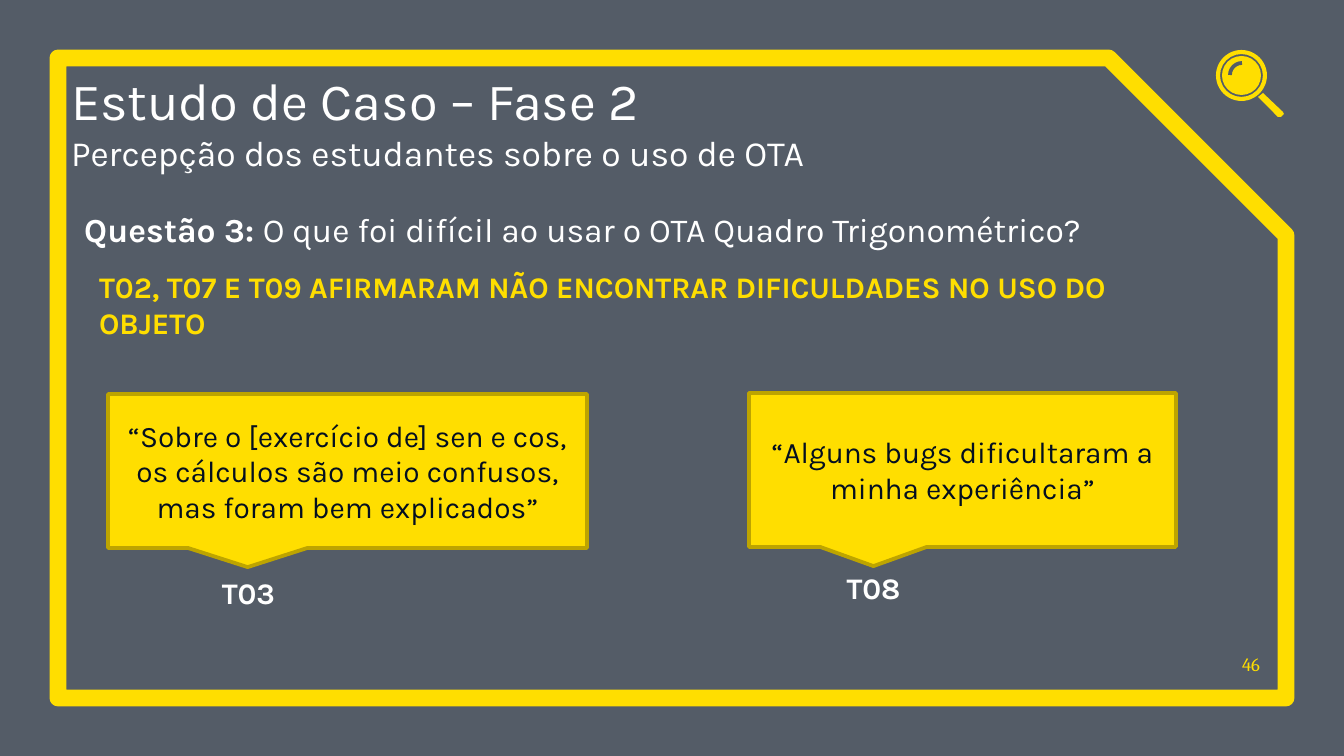
import pptx
import pptx.util
import pptx.dml.color
import pptx.enum.shapes
import pptx.enum.text
import pptx.oxml
import pptx.oxml.ns

RGBColor = pptx.dml.color.RGBColor
Shape = pptx.enum.shapes.MSO_SHAPE
Align = pptx.enum.text.PP_ALIGN
Anchor = pptx.enum.text.MSO_ANCHOR

SLATE = RGBColor(0x54, 0x5C, 0x67)
YELLOW = RGBColor(0xFF, 0xDE, 0x00)
OLIVE = RGBColor(0xBD, 0xA4, 0x00)
WHITE = RGBColor(0xFF, 0xFF, 0xFF)
NAVY = RGBColor(0x04, 0x0F, 0x20)

SCALE = 914400 / 134.4  # EMU in one px
TEXT_SHADOW = (
    f'<a:effectLst {pptx.oxml.ns.nsdecls("a")}>'
    '<a:outerShdw blurRad="38100" dist="38100" dir="2700000" algn="tl">'
    '<a:srgbClr val="000000"><a:alpha val="43000"/></a:srgbClr>'
    '</a:outerShdw></a:effectLst>'
)


def px(*lengths):
    return [pptx.util.Emu(round(length * SCALE)) for length in lengths]


class SlideBuilder:
    """Holds the style and the slide being built."""

    font_name = "Karla"

    def __init__(self, presentation):
        self.slide = presentation.slides.add_slide(presentation.slide_layouts[5])
        fill = self.slide.background.fill
        fill.solid()
        fill.fore_color.rgb = SLATE

    def fill_text(self, shape, paragraphs, color, align=Align.LEFT,
                  anchor=Anchor.TOP, margin=None, shadow=False):
        """Each paragraph is a list of (text, font values) runs."""
        frame = shape.text_frame
        values = {"word_wrap": True, "vertical_anchor": anchor,
                  "auto_size": pptx.enum.text.MSO_AUTO_SIZE.NONE}
        if margin is not None:
            values.update({f"margin_{side}": margin
                           for side in ("left", "top", "right", "bottom")})
        for name, value in values.items():
            setattr(frame, name, value)
        for index, runs in enumerate(paragraphs):
            paragraph = frame.add_paragraph() if index else frame.paragraphs[0]
            paragraph.alignment = align
            for text, font_values in runs:
                run = paragraph.add_run()
                run.text = text
                run.font.color.rgb = color
                if shadow:  # goes after the colour and before the font name
                    properties = run._r.get_or_add_rPr()
                    properties.append(pptx.oxml.parse_xml(TEXT_SHADOW))
                for name, value in {"name": self.font_name, **font_values}.items():
                    setattr(run.font, name, value)

    def title(self, box, paragraphs):
        shape = self.slide.shapes.title
        shape.left, shape.top, shape.width, shape.height = px(*box)
        self.fill_text(shape, paragraphs, WHITE, anchor=Anchor.BOTTOM,
                       margin=0, shadow=True)

    def text(self, box, runs, color, **options):
        shape = self.slide.shapes.add_textbox(*px(*box))
        self.fill_text(shape, [runs], color, **options)

    def paint(self, shape, fill=None, line=None, weight=1):
        shape.shadow.inherit = False
        for paint, color in ((shape.fill, fill), (shape.line.fill, line)):
            if color is None:
                paint.background()
            else:
                paint.solid()
                paint.fore_color.rgb = color
        if line is not None:
            shape.line.width = pptx.util.Pt(weight)

    def shape(self, kind, box, adjustments=(), parent=None, **colors):
        shapes = (parent or self.slide).shapes
        shape = shapes.add_shape(kind, *px(*box))
        for index, value in enumerate(adjustments):
            shape.adjustments[index] = value
        self.paint(shape, **colors)
        return shape

    def outline(self, points, parent, **colors):
        builder = parent.shapes.build_freeform(*points[0], scale=SCALE)
        builder.add_line_segments(points[1:], close=True)
        self.paint(builder.convert_to_shape(), **colors)

    def magnifier(self):
        group = self.slide.shapes.add_group_shape()
        self.shape(Shape.DONUT, (1216, 50, 51, 51), [0.08], group, fill=YELLOW)
        self.shape(Shape.OVAL, (1222, 56, 39, 39), (), group, fill=YELLOW)
        self.shape(Shape.ARC, (1230, 63, 24, 24), (108, 162), group,
                   line=SLATE, weight=2)
        self.outline([(1263, 93), (1258, 97), (1278, 117), (1281, 117),
                      (1284, 114), (1283, 112)], group, fill=YELLOW)

    def quote(self, box, text, source, source_box):
        callout = self.shape(Shape.RECTANGULAR_CALLOUT, box,
                             fill=YELLOW, line=OLIVE, weight=2)
        size = pptx.util.Pt(16)
        self.fill_text(callout, [[(text, {"size": size})]], NAVY,
                       align=Align.CENTER, anchor=Anchor.MIDDLE)
        self.text(source_box, [(source, {"size": size, "bold": True})],
                  WHITE, align=Align.CENTER)


def main():
    presentation = pptx.Presentation()
    presentation.slide_width, presentation.slide_height = px(1344, 756)
    builder = SlideBuilder(presentation)
    point = pptx.util.Pt

    # Frame, page number and icon
    builder.shape(Shape.SNIP_1_RECTANGLE, (58, 58, 1228, 640), [0.277],
                  line=YELLOW, weight=9)
    builder.text((1224, 637, 36, 38),
                 [("46", {"size": point(10), "name": "Cambria"})], YELLOW,
                 align=Align.RIGHT, anchor=Anchor.BOTTOM, margin=0)
    builder.magnifier()

    # Title and question
    builder.title((71, 73, 1130, 101), [
        [("Estudo de Caso – Fase 2", {"size": point(28)})],
        [("Percepção dos estudantes sobre o uso de OTA", {"size": point(19)})],
    ])
    builder.text((71, 202, 1085, 54), [
        ("Questão 3: ", {"size": point(18), "bold": True}),
        ("O que foi difícil ao usar o OTA Quadro Trigonométrico?",
         {"size": point(18)}),
    ], WHITE)
    builder.text((86, 262, 1070, 86), [
        ("T02, T07 E T09 AFIRMARAM NÃO ENCONTRAR DIFICULDADES NO USO DO OBJETO",
         {"size": point(16), "bold": True}),
    ], YELLOW)

    # Student quotes
    builder.quote((108, 394, 479, 154),
                  "“Sobre o [exercício de] sen e cos, os cálculos são meio "
                  "confusos, mas foram bem explicados”",
                  "T03", (206, 568, 85, 50))
    builder.quote((749, 393, 427, 154),
                  "“Alguns bugs dificultaram a minha experiência”",
                  "T08", (831, 563, 85, 50))

    presentation.save("out.pptx")


if __name__ == "__main__":
    main()
